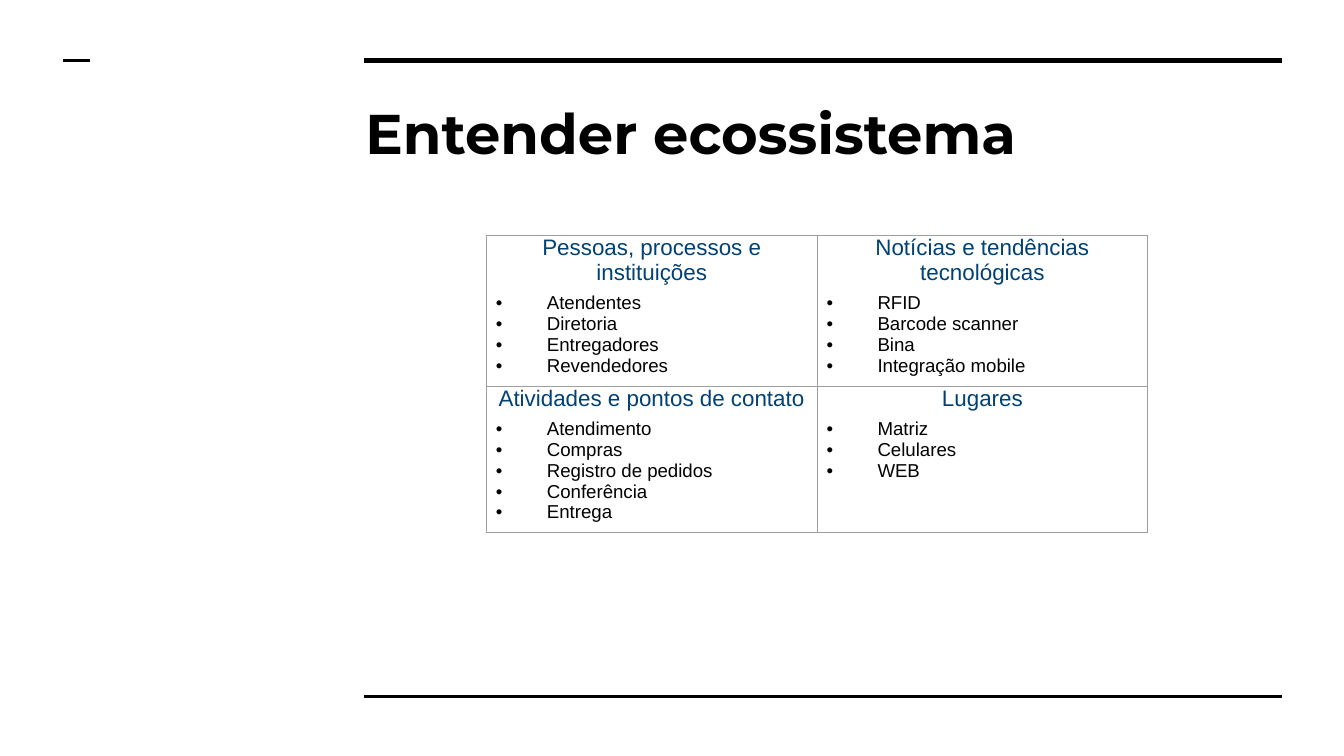
from lxml.etree import SubElement
from pptx import Presentation
from pptx.dml.color import RGBColor
from pptx.enum.shapes import MSO_CONNECTOR
from pptx.enum.text import PP_ALIGN
from pptx.oxml.ns import qn
from pptx.util import Inches, Pt

BLACK = RGBColor(0x00, 0x00, 0x00)
NAVY = RGBColor(0x01, 0x41, 0x74)
GRAY = RGBColor(0x9E, 0x9E, 0x9E)

RULES = [(2.71, 9.54, 0.45, 3), (2.71, 9.54, 5.18, 1.5), (0.47, 0.67, 0.45, 1.5)]
ECOSYSTEM = [
    [
        ("Pessoas, processos e instituições",
         ["Atendentes", "Diretoria", "Entregadores", "Revendedores"]),
        ("Notícias e tendências tecnológicas",
         ["RFID", "Barcode scanner", "Bina", "Integração mobile"]),
    ],
    [
        ("Atividades e pontos de contato",
         ["Atendimento", "Compras", "Registro de pedidos", "Conferência", "Entrega"]),
        ("Lugares", ["Matriz", "Celulares", "WEB"]),
    ],
]
ROW_HEIGHTS = [1.05, 1.02]


def style_font(paragraph, name, size, color, bold=False):
    font = paragraph.font
    font.name, font.size, font.bold = name, Pt(size), bold
    font.color.rgb = color


def fill_cell(cell, heading, items):
    cell.margin_left = cell.margin_right = Inches(0.07)
    cell.margin_top = cell.margin_bottom = 0
    properties = cell._tc.get_or_add_tcPr()
    for side in ("a:lnL", "a:lnR", "a:lnT", "a:lnB"):
        border = SubElement(properties, qn(side), w=str(Pt(0.75)))
        SubElement(SubElement(border, qn("a:solidFill")), qn("a:srgbClr"), val=str(GRAY))
    cell.fill.background()

    paragraph = cell.text_frame.paragraphs[0]
    paragraph.text = heading
    paragraph.alignment = PP_ALIGN.CENTER
    paragraph.space_after = Pt(4)
    style_font(paragraph, "Arial", 12, NAVY)
    for item in items:
        paragraph = cell.text_frame.add_paragraph()
        paragraph.text = item
        bullet = paragraph._p.get_or_add_pPr()
        bullet.set("marL", str(Inches(0.38)))
        bullet.set("indent", str(-Inches(0.38)))
        SubElement(bullet, qn("a:buFont"), typeface="Arial")
        SubElement(bullet, qn("a:buChar"), char="•")
        style_font(paragraph, "Arial", 10, BLACK)


presentation = Presentation()
presentation.slide_width = Inches(10)
presentation.slide_height = Inches(10 * 9 / 16)
slide = presentation.slides.add_slide(presentation.slide_layouts[6])

for left, right, y, width in RULES:
    rule = slide.shapes.add_connector(
        MSO_CONNECTOR.STRAIGHT, Inches(left), Inches(y), Inches(right), Inches(y))
    rule.line.color.rgb = BLACK
    rule.line.width = Pt(width)
    SubElement(rule._element.spPr, qn("a:effectLst"))

title = slide.shapes.add_textbox(Inches(2.62), Inches(0.63), Inches(6.91), Inches(0.69))
title_frame = title.text_frame
title_frame.word_wrap = True
title_frame.margin_left = title_frame.margin_right = Inches(0.1)
title_frame.margin_top = title_frame.margin_bottom = Inches(0.1)
title_frame.text = "Entender ecossistema"
style_font(title_frame.paragraphs[0], "Montserrat", 30, BLACK, bold=True)

table = slide.shapes.add_table(
    2, 2, Inches(3.62), Inches(1.75), Inches(4.92), Inches(sum(ROW_HEIGHTS))).table
table.first_row = table.horz_banding = False
for row, height, quadrants in zip(table.rows, ROW_HEIGHTS, ECOSYSTEM):
    row.height = Inches(height)
    for cell, (heading, items) in zip(row.cells, quadrants):
        fill_cell(cell, heading, items)

presentation.save("out.pptx")
